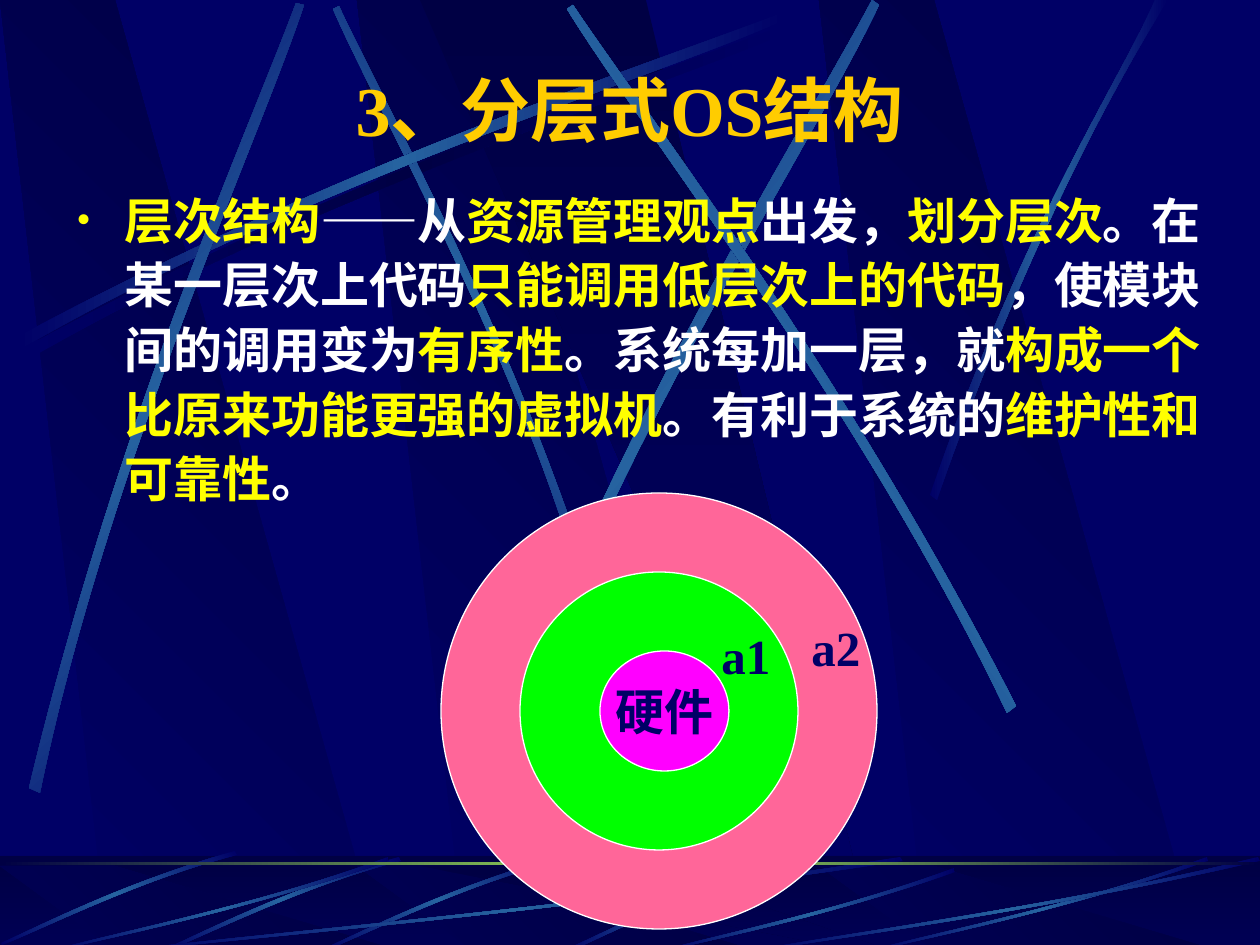
from copy import deepcopy
from dataclasses import dataclass

from lxml.etree import SubElement
from pptx import Presentation
from pptx.dml.color import RGBColor
from pptx.enum.shapes import MSO_SHAPE
from pptx.enum.text import MSO_ANCHOR, MSO_AUTO_SIZE, PP_ALIGN
from pptx.oxml.ns import qn
from pptx.util import Emu, Pt

SCALE = 914400 / 126
WIDTH, HEIGHT = 1260, 945
SLIDE_BOX = (0, 0, WIDTH, HEIGHT)


@dataclass(frozen=True)
class Theme:
    navy: str = "000066"
    night: str = "000044"
    beam: str = "2663A0"
    horizon: str = "9CE157"
    gold: str = "FFCC00"
    yellow: str = "FFFF00"
    white: str = "FFFFFF"
    pink: str = "FF6699"
    green: str = "00FF00"
    magenta: str = "FF00FF"
    serif: str = "Times New Roman"
    sans: str = "Arial"
    display: str = "Montserrat"
    title_size: int = 40
    text_size: int = 28


THEME = Theme()
GLOW = (THEME.navy, THEME.beam, THEME.navy)
SHADE = (THEME.navy, THEME.night, THEME.navy)

LONG_CURVE = [(25, 347), (358, 169), (660, 74), (789, 23),
              (793, 30), (665, 87), (320, 190), (29, 359)]
UPPER_STREAKS = [
    ([(580, 549), (493, 295), (381, 97), (339, 6),
      (333, 9), (372, 100), (501, 325), (572, 553)], 45),
    ([(29, 788), (117, 421), (248, 132), (296, 3),
      (304, 5), (261, 136), (108, 464), (40, 793)], 311.7),
    ([(485, 774), (627, 403), (804, 129), (872, 0),
      (879, 5), (818, 136), (612, 447), (496, 782)], 321.6),
    ([(1016, 706), (844, 369), (650, 120), (573, 5),
      (567, 9), (639, 127), (863, 410), (1007, 713)], 34.8),
    ([(930, 495), (1026, 218), (1119, 83), (1155, 0),
      (1168, 0), (1053, 183), (969, 406), (937, 500)], 0),
]
FLOOR_CURVE = [(790, 859), (677, 893), (601, 935), (564, 950),
               (571, 951), (617, 929), (719, 882), (791, 863)]
SHORT_CURVE = [(557, 857), (447, 888), (362, 932), (323, 949),
               (324, 951), (363, 936), (460, 886), (559, 861)]
SWEEP_SIZE = (777, 94)
SWEEP_CURVE = [(777, 4), (440, 54), (134, 80), (4, 94),
               (0, 93), (129, 77), (479, 48), (774, 0)]
SWEEP_BOXES = [(126, 857, 777, 94), (53, 857, 336, 94), (664, 868, 291, 83),
               (872, 857, 336, 94), (756, 857, 504, 94)]


def px(length):
    return Emu(round(length * SCALE))


def place(box):
    return [px(length) for length in box]


def color(code):
    return RGBColor.from_string(code)


def paint_gradient(shape, colors, angle):
    shape.shadow.inherit = False
    shape.line.fill.background()
    shape.fill.gradient()
    shape.fill.gradient_angle = angle
    stop_list = next(shape.element.iter(qn("a:gsLst")))
    for _ in colors[2:]:
        stop_list.append(deepcopy(stop_list[0]))
    for index, (stop, code) in enumerate(zip(shape.fill.gradient_stops, colors)):
        stop.position = index / (len(colors) - 1)
        stop.color.rgb = color(code)


def add_outline(page, points, colors, angle):
    builder = page.shapes.build_freeform(*points[0], scale=SCALE)
    builder.add_line_segments(points[1:], close=True)
    shape = builder.convert_to_shape()
    paint_gradient(shape, colors, angle)
    return shape


def add_block(page, kind, box, fill, line=None):
    shape = page.shapes.add_shape(kind, *place(box))
    shape.shadow.inherit = False
    shape.fill.solid()
    shape.fill.fore_color.rgb = color(fill)
    if line:
        shape.line.color.rgb = color(line)
        shape.line.width = Pt(0.75)
    else:
        shape.line.fill.background()
    return shape


def bend(lines):
    curve = lines[0].getparent().makeelement(qn("a:cubicBezTo"))
    lines[0].addprevious(curve)
    for line in lines:
        curve.append(line[0])
        line.getparent().remove(line)


def add_streak(page, box, curve, colors=GLOW, angle=0, size=(WIDTH, HEIGHT)):
    left, top, width, height = box
    scaled = [(left + x * width / size[0], top + y * height / size[1]) for x, y in curve]
    shape = add_outline(page, scaled, colors, angle)
    lines = list(shape.element.iter(qn("a:lnTo")))
    bend(lines[:3])
    bend(lines[4:7])


def add_panels(page, box):
    left, top, _, height = box
    bottom = top + height
    for offset in (357, 0, 819):
        x = left + offset
        panel = [(x + 108, bottom), (x + 380, bottom), (x + 115, top), (x, top)]
        add_outline(page, panel, (THEME.navy, THEME.night), 45)
    wedge = [(left + 420, top), (left + 829, bottom), (left + 874, bottom), (left + 646, top)]
    add_outline(page, wedge, (THEME.night, THEME.navy), 270)


def add_sky(page, box):
    add_panels(page, box)
    left, top, width, height = box
    add_streak(page, box, LONG_CURVE, SHADE)
    for index, (curve, angle) in enumerate(UPPER_STREAKS):
        if index == 1:
            add_streak(page, (left - 8, top - 10, width, height), LONG_CURVE)
        add_streak(page, box, curve, angle=angle)


def add_floor(page, box):
    left, top, width, height = box
    base = page.shapes.add_shape(MSO_SHAPE.RECTANGLE, *place(box))
    paint_gradient(base, (THEME.night, THEME.navy), 270)
    add_panels(page, (left, top + 10, width, height - 10))
    veil = add_block(page, MSO_SHAPE.RECTANGLE, box, THEME.night)
    SubElement(next(veil.element.iter(qn("a:srgbClr"))), qn("a:alpha"), val="50000")
    add_streak(page, SLIDE_BOX, FLOOR_CURVE)
    for shift, drop in ((0, 0), (-158, 0), (-322, -6)):
        add_streak(page, (shift, drop, WIDTH, HEIGHT), SHORT_CURVE, angle=45)
    for sweep in SWEEP_BOXES:
        add_streak(page, sweep, SWEEP_CURVE, size=SWEEP_SIZE)
    horizon = page.shapes.add_shape(MSO_SHAPE.RECTANGLE, *place((left, top + 6, width, 3)))
    paint_gradient(horizon, (THEME.night, THEME.horizon, THEME.night), 0)


def add_span(para, text, code, font=THEME.serif, size=THEME.text_size):
    span = para.add_run()
    span.text = text
    span.font.name = font
    span.font.size = Pt(size)
    span.font.bold = True
    span.font.color.rgb = color(code)


def fill_title(page, box):
    title = page.shapes.title
    title.left, title.top, title.width, title.height = place(box)
    title.element.getparent().append(title.element)
    frame = title.text_frame
    frame.auto_size = MSO_AUTO_SIZE.NONE
    frame.vertical_anchor = MSO_ANCHOR.MIDDLE
    para = frame.paragraphs[0]
    para.alignment = PP_ALIGN.CENTER
    add_span(para, "3、分层式OS", THEME.gold, size=THEME.title_size)
    add_span(para, "结构", THEME.gold, THEME.display, THEME.title_size)


def add_body(page, box):
    frame = page.shapes.add_textbox(*place(box)).text_frame
    frame.word_wrap = True
    para = frame.paragraphs[0]
    props = para._p.get_or_add_pPr()
    props.set("marL", str(px(48)))
    props.set("indent", str(px(-48)))
    SubElement(SubElement(props, qn("a:buClr")), qn("a:srgbClr"), val=THEME.yellow)
    SubElement(props, qn("a:buSzPct"), val="85000")
    SubElement(props, qn("a:buFont"), typeface=THEME.serif)
    SubElement(props, qn("a:buChar"), char="•")
    para.line_spacing = 1.1
    add_span(para, "层次结构", THEME.yellow, THEME.sans)
    phrases = ["——从", "资源管理观点", "出发，", "划分层次", "。在某一层次上代码",
               "只能调用低层次上的代码", "，使模块间的调用变为", "有序性",
               "。系统每加一层，就", "构成一个比原来功能更强的虚拟机",
               "。有利于系统的", "维护性和可靠性", "。"]
    for index, phrase in enumerate(phrases):
        add_span(para, phrase, THEME.yellow if index % 2 else THEME.white)


def add_rings(page, box):
    left, top, width, height = box
    rings = [(0, 0, THEME.pink), (79, 79, THEME.green), (159, 158, THEME.magenta)]
    for inset, drop, fill in rings:
        ring_width = 129 if fill == THEME.magenta else width - 2 * inset
        ring_box = (left + inset, top + drop, ring_width, height - 2 * drop)
        ring = add_block(page, MSO_SHAPE.OVAL, ring_box, fill, THEME.white)
    ring.text_frame.word_wrap = False
    ring.text_frame.vertical_anchor = MSO_ANCHOR.MIDDLE
    para = ring.text_frame.paragraphs[0]
    para.alignment = PP_ALIGN.CENTER
    add_span(para, "硬件", THEME.navy)
    for text, x, y in (("a1", 268, 126), ("a2", 358, 118)):
        label = page.shapes.add_textbox(*place((left + x, top + y, 74, 72)))
        label.text_frame.word_wrap = False
        add_span(label.text_frame.paragraphs[0], text, THEME.navy)


def main():
    deck = Presentation()
    deck.slide_width, deck.slide_height = px(WIDTH), px(HEIGHT)
    page = deck.slides.add_slide(deck.slide_layouts[5])
    page.background.fill.solid()
    page.background.fill.fore_color.rgb = color(THEME.navy)
    add_sky(page, SLIDE_BOX)
    add_floor(page, (0, 856, WIDTH, 89))
    fill_title(page, (94, 60, 1071, 97))
    add_body(page, (64, 178, 1150, 394))
    add_rings(page, (441, 493, 436, 436))
    deck.save("out.pptx")


if __name__ == "__main__":
    main()
